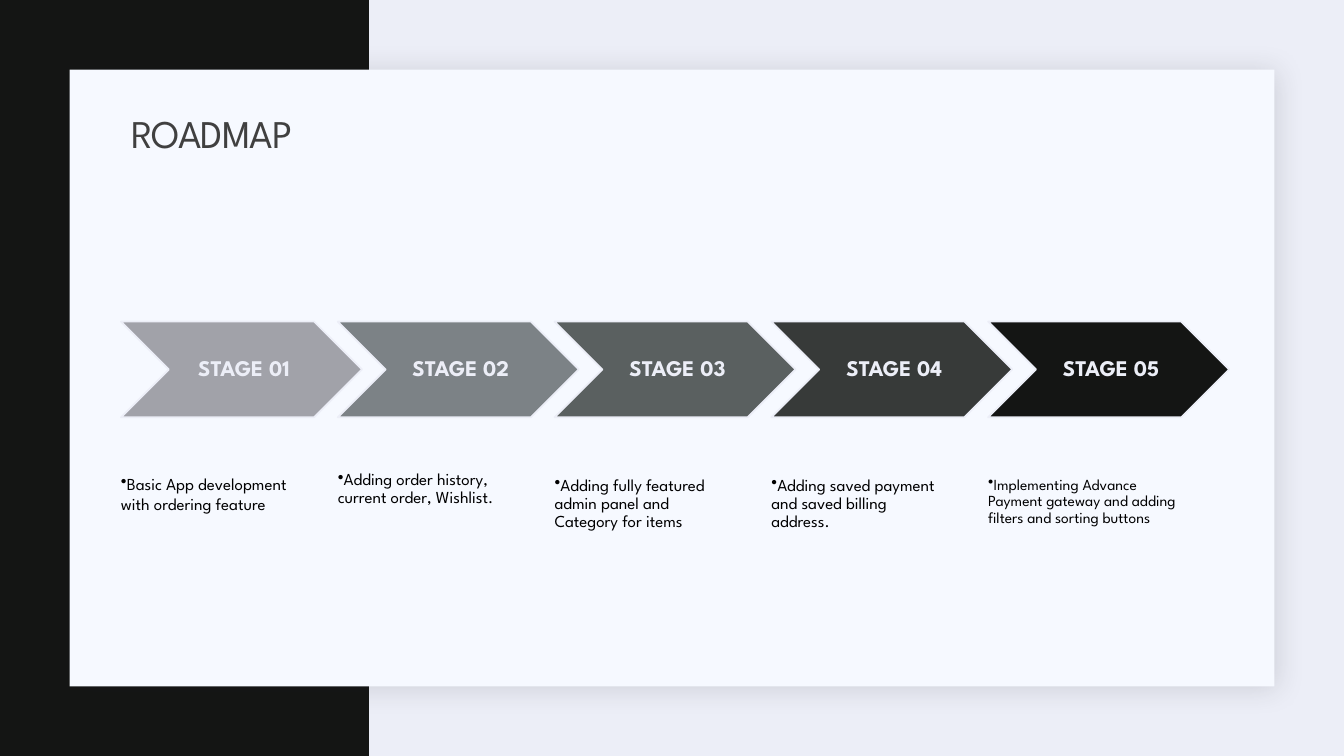
from lxml.etree import SubElement
from pptx import Presentation
from pptx.dml.color import RGBColor
from pptx.enum.shapes import MSO_SHAPE
from pptx.enum.text import MSO_ANCHOR, PP_ALIGN
from pptx.oxml.ns import qn
from pptx.util import Inches, Pt

FONT = "League Spartan"
COLORS = {
    "back": "ECEEF7", "band": "141514", "panel": "F6F9FF", "shadow": "1F2125",
    "title": "404040", "text": "000000",
}
# label, chevron fill, description, size, line spacing, right inset
STAGES = [
    ("STAGE 01", "A1A2A9", "Basic App development with ordering feature", 12, 1.0, 0.2),
    ("STAGE 02", "7C8286", "Adding order history, current order, Wishlist.", 12, 0.9, 0),
    ("STAGE 03", "5A6060", "Adding fully featured admin panel and Category for items", 12, 0.9, 0.2),
    ("STAGE 04", "373A39", "Adding saved payment and saved billing address.", 12, 0.9, 0.2),
    ("STAGE 05", "141514", "Implementing Advance Payment gateway and adding filters "
     "and sorting buttons", 11, 0.9, 0),
]
PITCH, CHEVRON_W, CHEVRON_H = 2.15, 2.39, 0.95
NOTE_TOP, NOTE_W, NOTE_H = 1.07, 1.91, 1.28


def rgb(value):
    return RGBColor.from_string(COLORS.get(value, value))


def add_shape(s, kind, box, fill, line=None):
    sp = s.shapes.add_shape(kind, *map(Inches, box))
    sp.shadow.inherit = False
    sp.fill.solid()
    sp.fill.fore_color.rgb = rgb(fill)
    if line:
        sp.line.color.rgb = rgb(line)
        sp.line.width = Pt(1.25)
    else:
        sp.line.fill.background()
    return sp


def write(tf, text, size, color, insets, bold=False, spacing=0.9,
          align=PP_ALIGN.LEFT, anchor=MSO_ANCHOR.TOP):
    sides = ("left", "top", "right", "bottom")
    frame = {f"margin_{side}": Inches(v) for side, v in zip(sides, insets)}
    frame.update(word_wrap=True, vertical_anchor=anchor)
    for name, value in frame.items():
        setattr(tf, name, value)
    p = tf.paragraphs[0]
    p.alignment, p.line_spacing = align, spacing
    r = p.add_run()
    r.text = text
    for name, value in {"name": FONT, "size": Pt(size), "bold": bold}.items():
        setattr(r.font, name, value)
    r.font.color.rgb = rgb(color)
    return p


def add_bullet(p):
    pPr = p._p.get_or_add_pPr()
    pPr.set("marL", "0")
    pPr.set("indent", "0")
    SubElement(pPr, qn("a:buChar"), char="•")


def add_soft_shadow(sp):
    effects = sp._element.spPr.find(qn("a:effectLst"))
    shadow = SubElement(effects, qn("a:outerShdw"), blurRad=str(Pt(20)),
                        dist=str(Pt(2)), dir=str(45 * 60000), algn="ctr", rotWithShape="0")
    color = SubElement(shadow, qn("a:srgbClr"), val=COLORS["shadow"])
    SubElement(color, qn("a:alpha"), val="15000")


def add_backdrop(s, width, height):
    s.background.fill.solid()
    s.background.fill.fore_color.rgb = rgb("back")
    add_shape(s, MSO_SHAPE.RECTANGLE, (0, 0, 3.66, height), "band")
    margin = 0.69
    panel = add_shape(s, MSO_SHAPE.RECTANGLE,
                      (margin, margin, width - 2 * margin, height - 2 * margin), "panel")
    add_soft_shadow(panel)


def add_title(s, text, box):
    title = s.shapes.title
    title.left, title.top, title.width, title.height = map(Inches, box)
    p = write(title.text_frame, text, 28, "title", (0.1, 0.05, 0.1, 0.05),
              anchor=MSO_ANCHOR.MIDDLE)
    p.runs[0].font._element.set("spc", "-50")
    s.shapes._spTree.append(title._element)  # above the panel


def add_roadmap(s, left, top):
    for i, (label, fill, note, size, spacing, inset) in enumerate(STAGES):
        x = left + i * PITCH
        chevron = add_shape(s, MSO_SHAPE.CHEVRON, (x, top, CHEVRON_W, CHEVRON_H), fill, "back")
        write(chevron.text_frame, label, 16, "back", (0.07, 0.02, 0.02, 0.02), bold=True,
              align=PP_ALIGN.CENTER, anchor=MSO_ANCHOR.MIDDLE)
        box = s.shapes.add_textbox(*map(Inches, (x, top + NOTE_TOP, NOTE_W, NOTE_H)))
        add_bullet(write(box.text_frame, note, size, "text", (0, 0.47, inset, 0),
                         spacing=spacing))


def main():
    width, height = 13.33, 7.5
    prs = Presentation()
    prs.slide_width, prs.slide_height = Inches(width), Inches(height)
    s = prs.slides.add_slide(prs.slide_layouts[5])
    add_backdrop(s, width, height)
    add_roadmap(s, 1.2, 3.19)
    add_title(s, "ROADMAP", (1.2, 1.03, 11, 0.64))
    prs.save("out.pptx")


if __name__ == "__main__":
    main()
